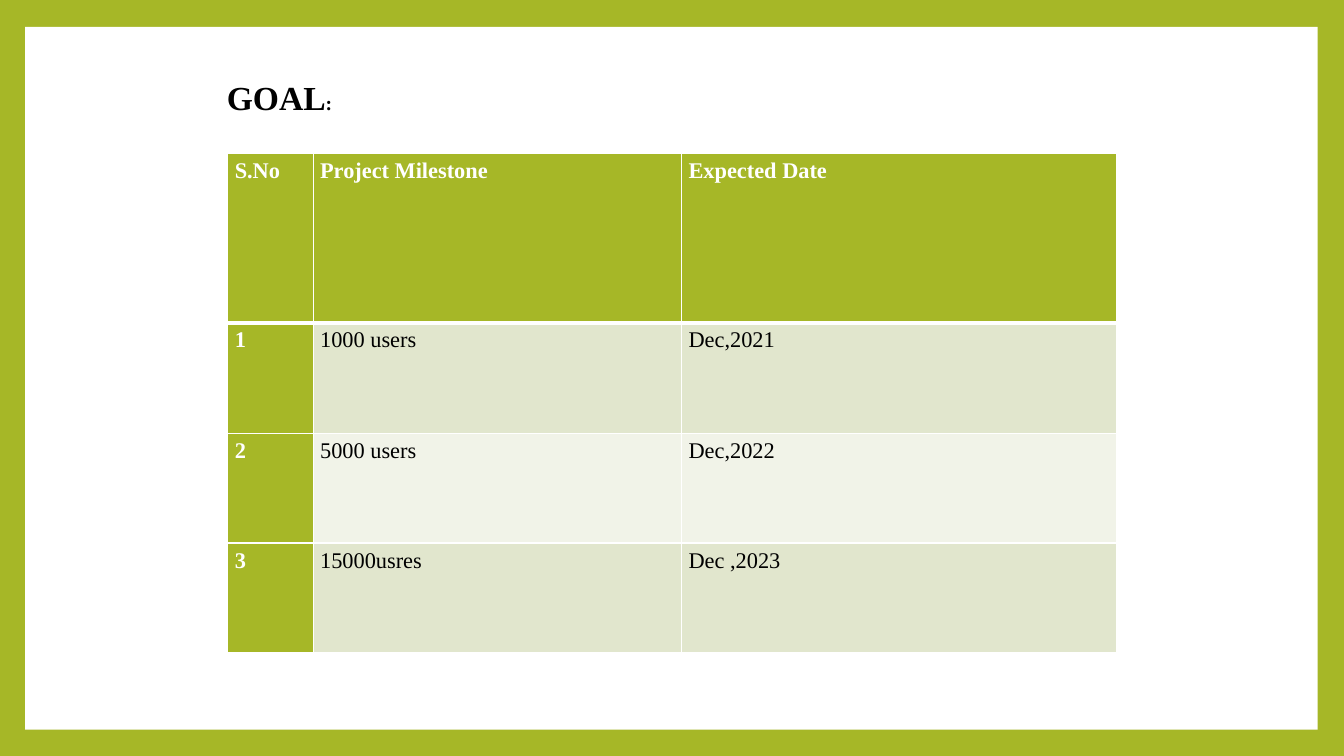
from dataclasses import dataclass

from lxml.etree import SubElement
from pptx import Presentation
from pptx.dml.color import RGBColor
from pptx.enum.shapes import MSO_SHAPE
from pptx.enum.text import MSO_ANCHOR, MSO_AUTO_SIZE, PP_ALIGN
from pptx.oxml.ns import qn
from pptx.util import Pt


@dataclass(frozen=True)
class Theme:
    font: str = "Times New Roman"
    green: str = "A6B727"
    band_dark: str = "E1E6CD"
    band_light: str = "F1F3E8"
    white: str = "FFFFFF"
    black: str = "000000"
    title: int = 24
    colon: int = 14
    cell: int = 16


theme = Theme()


def add_run(p, text, size, color, bold):
    r = p.add_run()
    r.text = text
    font = {"name": theme.font, "size": Pt(size), "bold": bold}
    for name, value in font.items():
        setattr(r.font, name, value)
    r.font.color.rgb = RGBColor.from_string(color)


def set_borders(cell, widths):
    """Draw white borders; widths maps L, R, T and B to points."""
    tc_pr = cell._tc.get_or_add_tcPr()
    for index, (side, width) in enumerate(widths.items()):
        ln = SubElement(tc_pr, qn(f"a:ln{side}"), w=str(Pt(width)))
        fill = SubElement(ln, qn("a:solidFill"))
        SubElement(fill, qn("a:srgbClr"), val=theme.white)
        tc_pr.insert(index, ln)  # borders precede the cell fill


prs = Presentation()
prs.slide_width, prs.slide_height = Pt(960), Pt(540)
s = prs.slides.add_slide(prs.slide_layouts[5])
s.background.fill.solid()
s.background.fill.fore_color.rgb = RGBColor.from_string(theme.green)

# Title, with the white panel behind it
title = s.shapes.title
frame = {"left": Pt(154.8), "top": Pt(51.1), "width": Pt(90.7), "height": Pt(58.3)}
for name, value in frame.items():
    setattr(title, name, value)
tf = title.text_frame
layout = {"word_wrap": False, "auto_size": MSO_AUTO_SIZE.NONE,
          "vertical_anchor": MSO_ANCHOR.TOP,
          "margin_left": Pt(7.2), "margin_right": Pt(7.2),
          "margin_top": Pt(3.6), "margin_bottom": Pt(3.6)}
for name, value in layout.items():
    setattr(tf, name, value)
p = tf.paragraphs[0]
p.alignment = PP_ALIGN.LEFT
add_run(p, "GOAL", theme.title, theme.black, True)
add_run(p, ":", theme.colon, theme.black, True)

panel = s.shapes.add_shape(MSO_SHAPE.RECTANGLE, Pt(18), Pt(19.2), Pt(923.2), Pt(502))
panel.shadow.inherit = False
panel.fill.solid()
panel.fill.fore_color.rgb = RGBColor.from_string(theme.white)
panel.line.fill.background()
title._element.addprevious(panel._element)

# Milestone table
milestones = [
    ("S.No", "Project Milestone", "Expected Date"),
    ("1", "1000 users", "Dec,2021"),
    ("2", "5000 users", "Dec,2022"),
    ("3", "15000usres", "Dec ,2023"),
]
col_widths = [61, 263.2, 311]
row_heights = [121, 79, 78.4, 78.4]
table = s.shapes.add_table(len(row_heights), len(col_widths), Pt(162.7), Pt(109.6),
                           Pt(sum(col_widths)), Pt(sum(row_heights))).table
for column, width in zip(table.columns, col_widths):
    column.width = Pt(width)
for row, height in zip(table.rows, row_heights):
    row.height = Pt(height)

margins = {"margin_left": Pt(5), "margin_top": Pt(2.4),
           "margin_right": Pt(5.4), "margin_bottom": Pt(0)}
for i, texts in enumerate(milestones):
    band = theme.band_dark if i % 2 else theme.band_light
    for j, text in enumerate(texts):
        heading = i == 0 or j == 0
        cell = table.cell(i, j)
        for name, value in margins.items():
            setattr(cell, name, value)
        cell.fill.solid()
        cell.fill.fore_color.rgb = RGBColor.from_string(theme.green if heading else band)
        set_borders(cell, {"L": 1, "R": 1, "T": 3 if i == 1 else 1, "B": 3 if i == 0 else 1})
        p = cell.text_frame.paragraphs[0]
        p.line_spacing = 1.07
        p.space_after = Pt(10)
        add_run(p, text, theme.cell, theme.white if heading else theme.black, heading)

prs.save("out.pptx")
